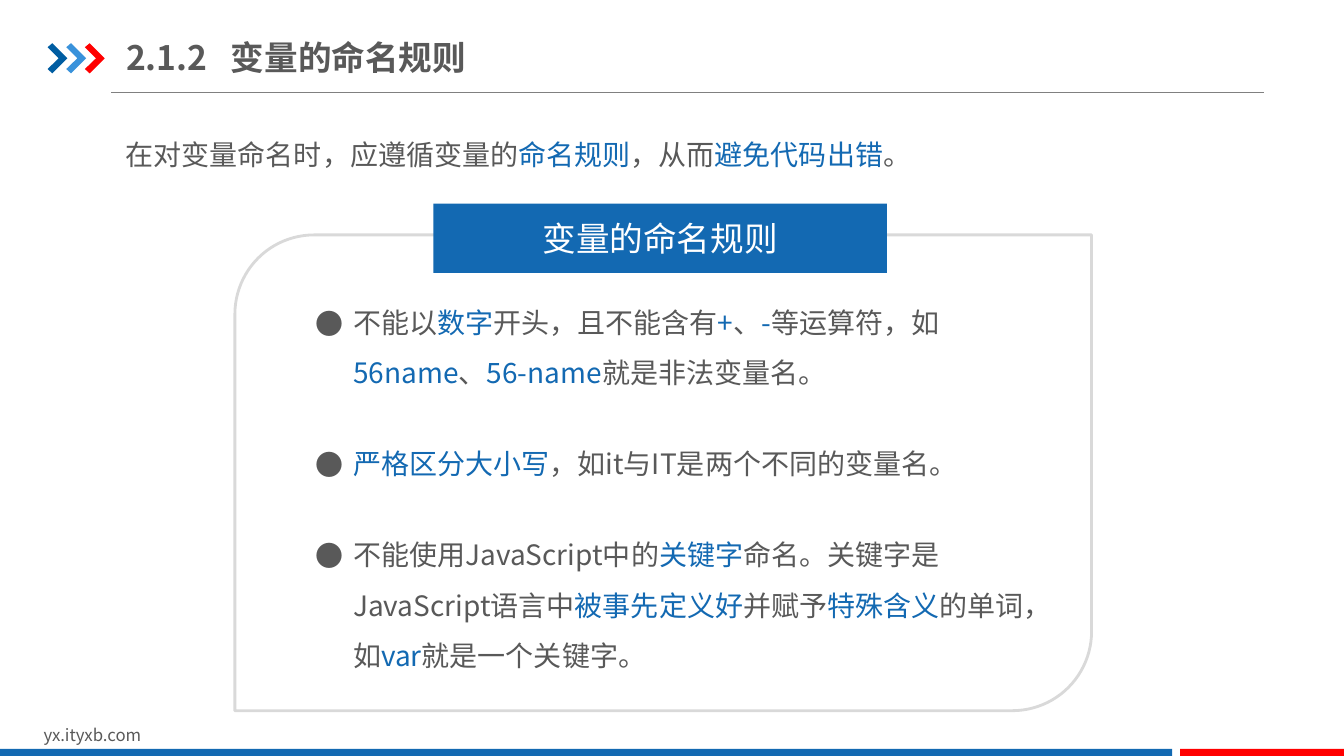
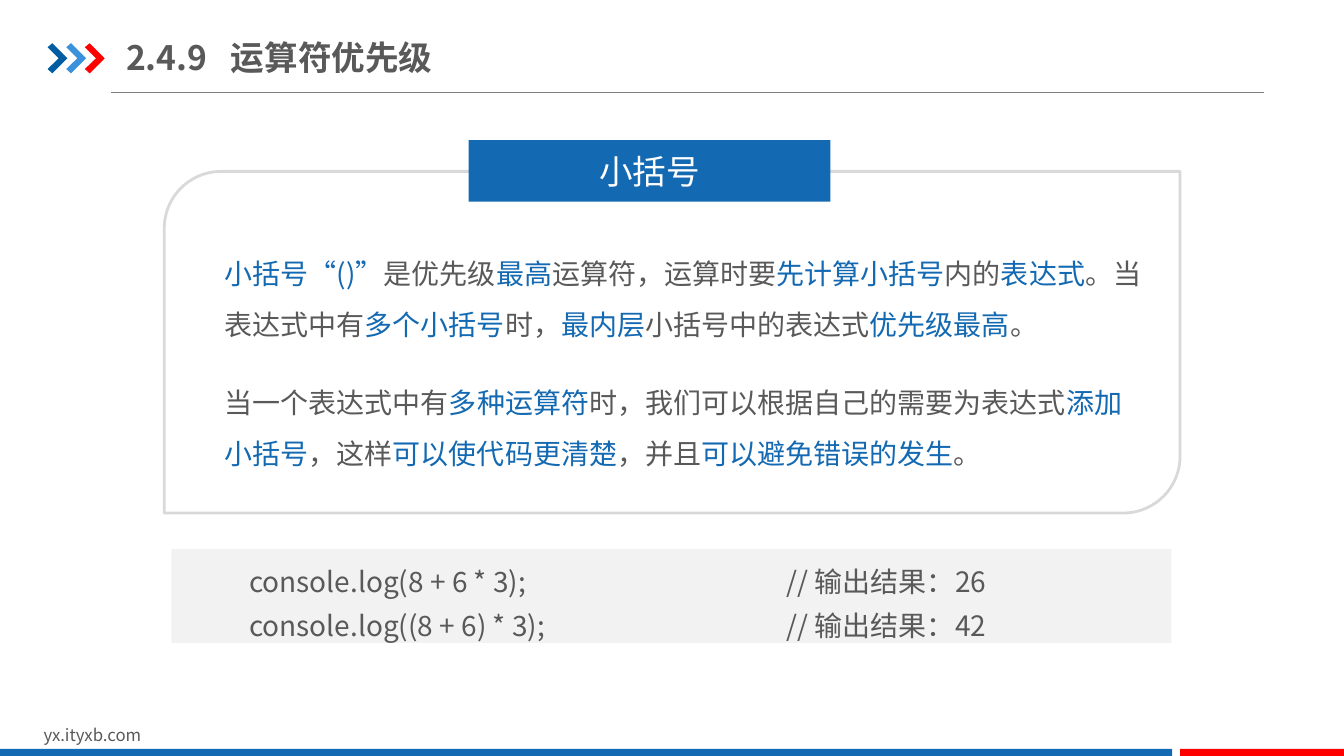
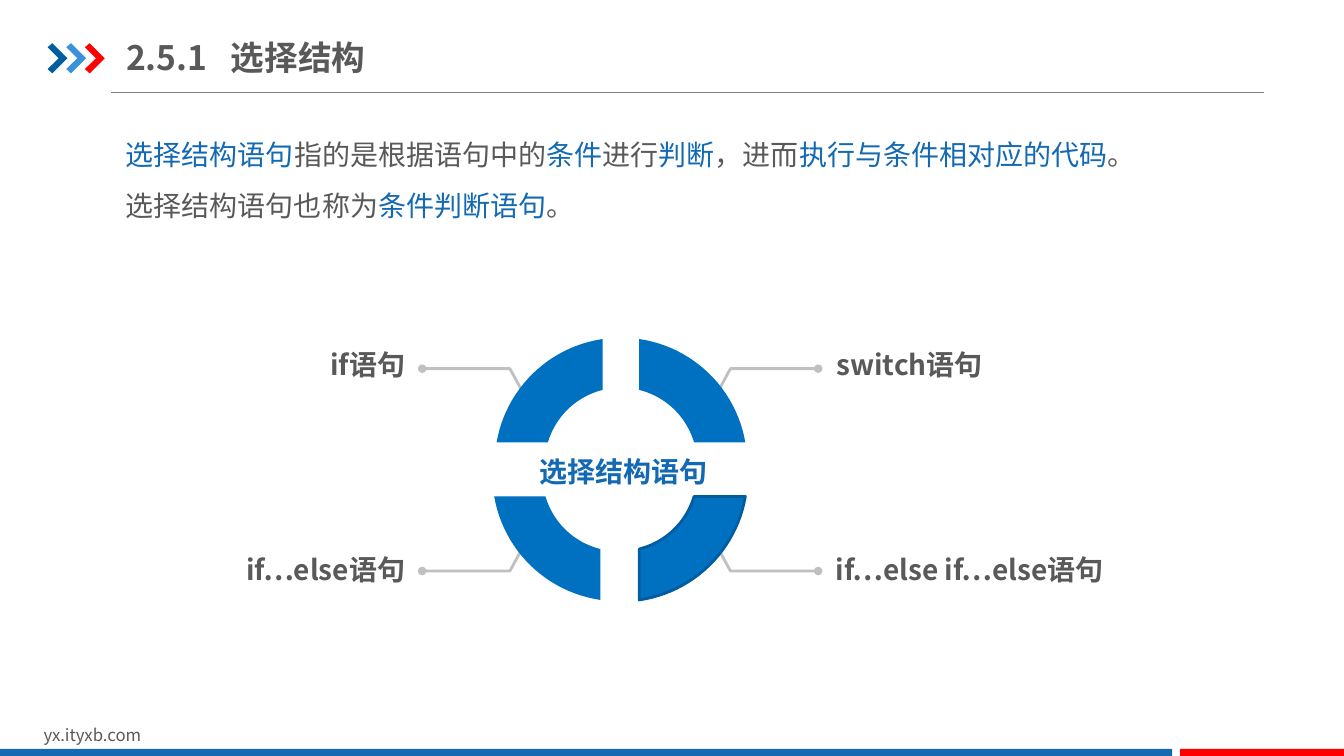
from itertools import product
from math import acos, asin, cos, sin

from lxml.etree import SubElement
from pptx import Presentation
from pptx.dml.color import RGBColor
from pptx.enum.shapes import MSO_CONNECTOR, MSO_SHAPE
from pptx.enum.text import MSO_ANCHOR, PP_ALIGN
from pptx.oxml.ns import qn
from pptx.util import Cm, Pt

FONT = "Noto Sans CJK SC"
COLORS = {
    "text": "595959", "accent": "1369B2", "white": "FFFFFF", "red": "FF0000",
    "navy": "005DA2", "sky": "3992DB", "ring": "0070C0", "code": "F2F2F2",
    "frame": "D9D9D9", "callout": "C0C0C0", "rule": "808080",
}


def rgb(name):
    return RGBColor.from_string(COLORS[name])


class Deck:
    """Holds the presentation, its style and the current slide."""

    def __init__(self):
        self.prs = Presentation()
        self.prs.slide_width, self.prs.slide_height = Cm(33.87), Cm(19.05)
        self.s = None

    def slide(self, number, title):
        self.s = self.prs.slides.add_slide(self.prs.slide_layouts[6])
        self.rule(2.8, 31.85, 2.32)
        chevron = [(0, 0.1), (0.12, 0), (0.5, 0.38), (0.12, 0.76), (0, 0.65), (0.28, 0.38)]
        for i, color in enumerate(("navy", "sky", "red")):
            self.outline([(1.2 + 0.47 * i + x, 1.09 + y) for x, y in chevron], fill=color)
        self.text(0.85, 18.13, 8.08, 0.77, ["yx.ityxb.com"], size=12)
        self.shape(0, 18.87, 29.54, 0.18, fill="accent")
        self.shape(29.74, 18.87, 4.13, 0.18, fill="red")
        self.text(3.18, 0.74, 14.55, 1.4, [f"{number}\t{title}"], size=24, bold=True,
                  anchor=MSO_ANCHOR.MIDDLE, insets=(0, 0.18), tab=2.64)

    def paint(self, sp, fill=None, line=None, width=2):
        sp.shadow.inherit = False
        if fill:
            sp.fill.solid()
            sp.fill.fore_color.rgb = rgb(fill)
        else:
            sp.fill.background()
        if line:
            sp.line.color.rgb = rgb(line)
            sp.line.width = Pt(width)
        else:
            sp.line.fill.background()
        return sp

    def shape(self, x, y, w, h, kind=MSO_SHAPE.RECTANGLE, **paint):
        sp = self.s.shapes.add_shape(kind, Cm(x), Cm(y), Cm(w), Cm(h))
        return self.paint(sp, **paint)

    def outline(self, points, close=True, **paint):
        points = [(Cm(x), Cm(y)) for x, y in points]
        builder = self.s.shapes.build_freeform(*points[0])
        builder.add_line_segments(points[1:], close=close)
        return self.paint(builder.convert_to_shape(), **paint)

    def rule(self, x1, x2, y):
        line = self.s.shapes.add_connector(MSO_CONNECTOR.STRAIGHT, Cm(x1), Cm(y), Cm(x2), Cm(y))
        line.line.color.rgb = rgb("rule")
        line.line.width = Pt(0.75)
        SubElement(line._element.spPr, qn("a:effectLst"))

    def text(self, x, y, w, h, paragraphs, **style):
        sp = self.s.shapes.add_textbox(Cm(x), Cm(y), Cm(w), Cm(h))
        self.set_text(sp, paragraphs, **style)

    def set_text(self, sp, paragraphs, size=20, color="text", bold=False, align=PP_ALIGN.LEFT,
                 anchor=MSO_ANCHOR.TOP, insets=(0.25, 0.13), spacing=1.0, gap=0,
                 bullet=False, tab=None):
        """Fill a shape with paragraphs; every second part between bars is in the accent colour."""
        tf = sp.text_frame
        tf.word_wrap = True
        tf.vertical_anchor = anchor
        tf.margin_left = tf.margin_right = Cm(insets[0])
        tf.margin_top = tf.margin_bottom = Cm(insets[1])
        for i, content in enumerate(paragraphs):
            p = tf.add_paragraph() if i else tf.paragraphs[0]
            p.alignment = align
            p.line_spacing = spacing
            if i and gap:
                p.space_before = Pt(gap)
            pPr = p._p.get_or_add_pPr()
            if bullet:
                self.bullet(pPr)
            if tab:
                tabs = SubElement(pPr, qn("a:tabLst"))
                SubElement(tabs, qn("a:tab"), pos=str(Cm(tab)), algn="l")
            for j, part in enumerate(content.split("|")):
                if part:
                    self.run(p, part, size, "accent" if j % 2 else color, bold)

    def bullet(self, pPr):
        pPr.set("marL", str(Cm(0.95)))
        pPr.set("indent", str(-Cm(0.95)))
        SubElement(SubElement(pPr, qn("a:buClr")), qn("a:srgbClr"), val=COLORS["text"])
        SubElement(pPr, qn("a:buFont"), typeface=FONT)
        SubElement(pPr, qn("a:buChar"), char="●")

    def run(self, p, text, size, color, bold):
        r = p.add_run()
        r.text = text
        r.font.size = Pt(size)
        r.font.bold = bold
        r.font.color.rgb = rgb(color)
        r.font.name = FONT
        SubElement(r._r.get_or_add_rPr(), qn("a:ea"), typeface=FONT)

    def panel(self, x, y, w, h):
        self.shape(x, y, w, h, MSO_SHAPE.ROUND_2_DIAG_RECTANGLE, line="frame")

    def banner(self, x, y, w, h, title):
        sp = self.shape(x, y, w, h, fill="accent")
        self.set_text(sp, [title], size=24, color="white", align=PP_ALIGN.CENTER,
                      anchor=MSO_ANCHOR.MIDDLE)

    def code(self, x, y, w, h, lines):
        sp = self.shape(x, y, w, h, fill="code")
        self.set_text(sp, lines, spacing=1.3, insets=(1.96, 0.13), tab=13.54)

    def ring_quarter(self, cx, cy, sx, sy, line=None):
        """Draw a quarter ring with straight cut edges; sx and sy give its side."""
        outer, inner, cut_x, cut_y, steps = 3.18, 1.92, 0.46, 0.54, 24

        def arc(radius):
            start, end = asin(cut_x / radius), acos(cut_y / radius)
            angles = [start + (end - start) * i / steps for i in range(steps + 1)]
            return [(cx + sx * radius * sin(a), cy + sy * radius * cos(a)) for a in angles]

        self.outline(arc(outer) + arc(inner)[::-1], fill="ring", line=line)

    def callout(self, cx, cy, sx, sy):
        """Draw a bent leader that ends in a dot, mirrored about a centre."""
        bends = [(2.43, 1.91), (2.78, 2.55), (4.99, 2.55)]
        sp = self.outline([(cx + sx * dx, cy + sy * dy) for dx, dy in bends],
                          close=False, line="callout")
        SubElement(sp._element.spPr.find(qn("a:ln")), qn("a:tailEnd"), type="oval")


def naming_rules(deck):
    deck.slide("2.1.2", "变量的命名规则")
    deck.text(2.92, 2.92, 28.19, 1.4,
              ["在对变量命名时，应遵循变量的|命名规则|，从而|避免代码出错|。"], spacing=1.5)
    deck.panel(5.92, 5.92, 21.59, 11.99)
    deck.banner(10.92, 5.13, 11.43, 1.75, "变量的命名规则")
    deck.text(7.7, 7.14, 18.64, 10, [
        "不能以|数字|开头，且不能含有|+|、|-|等运算符，如|56name|、|56-name|就是非法变量名。",
        "|严格区分大小写|，如it与IT是两个不同的变量名。",
        "不能使用JavaScript中的|关键字|命名。关键字是JavaScript语言中|被事先定义好|"
        "并赋予|特殊含义|的单词，如|var|就是一个关键字。",
    ], spacing=1.5, gap=29, bullet=True)


def operator_precedence(deck):
    deck.slide("2.4.9", "运算符优先级")
    deck.panel(4.14, 4.32, 25.6, 8.61)
    deck.banner(11.81, 3.53, 9.12, 1.55, "小括号")
    deck.text(5.41, 5.92, 23.72, 6.15, [
        "|小括号“()”|是优先级|最高|运算符，运算时要|先计算小括号|内的|表达式|。"
        "当表达式中有|多个小括号|时，|最内层|小括号中的表达式|优先级最高|。",
        "当一个表达式中有|多种运算符|时，我们可以根据自己的需要为表达式|添加小括号|，"
        "这样|可以使代码更清楚|，并且|可以避免错误的发生|。",
    ], spacing=1.5, gap=20)
    deck.code(4.32, 13.84, 25.2, 2.36, [
        "console.log(8 + 6 * 3);\t// 输出结果：26",
        "console.log((8 + 6) * 3);\t// 输出结果：42",
    ])


def selection_structure(deck):
    deck.slide("2.5.1", "选择结构")
    deck.text(2.92, 2.92, 29.01, 3.28, [
        "|选择结构语句|指的是根据语句中的|条件|进行|判断|，进而|执行与条件相对应的代码|。",
        "选择结构语句也称为|条件判断语句|。",
    ], spacing=1.5)
    for sx, sy in product((-1, 1), repeat=2):
        deck.callout(15.63, 11.84, sx, sy)
        lower_left, lower_right = (sx, sy) == (-1, 1), (sx, sy) == (1, 1)
        deck.ring_quarter(15.59 if lower_left else 15.65, 11.83 + 0.14 * sy, sx, sy,
                          line="navy" if lower_right else None)
    labels = [
        (4.14, 7.67, 6.07, "if语句", PP_ALIGN.RIGHT),
        (18.01, 7.67, 6.76, "switch语句", PP_ALIGN.RIGHT),
        (4.14, 12.85, 6.07, "if…else语句", PP_ALIGN.RIGHT),
        (21.06, 12.85, 7.75, "if…else if…else语句", PP_ALIGN.LEFT),
    ]
    for x, y, w, label, align in labels:
        deck.text(x, y, w, 1.93, [label], bold=True, align=align,
                  anchor=MSO_ANCHOR.BOTTOM, insets=(0, 0), spacing=1.2)
    deck.text(13.34, 11.33, 4.8, 1.12, ["选择结构语句"], color="accent", bold=True)


def main():
    deck = Deck()
    naming_rules(deck)
    operator_precedence(deck)
    selection_structure(deck)
    deck.prs.save("out.pptx")


if __name__ == "__main__":
    main()
